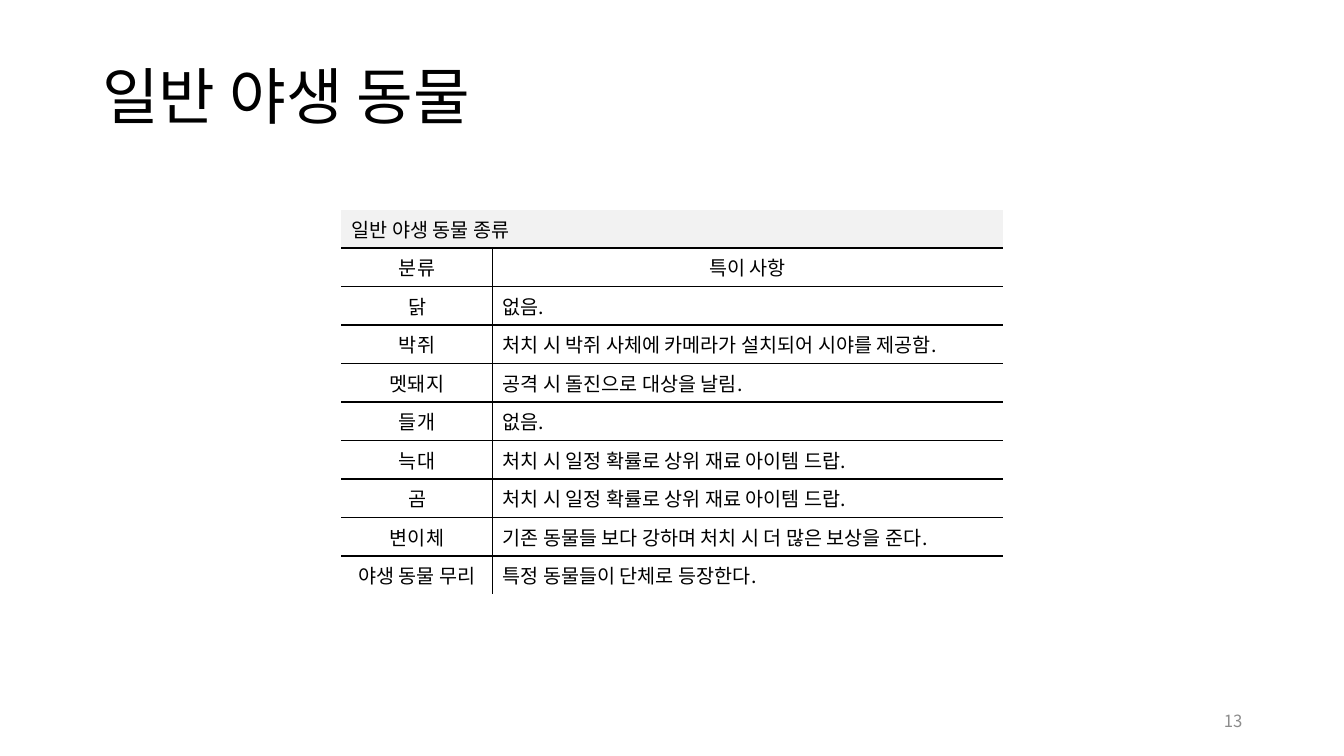
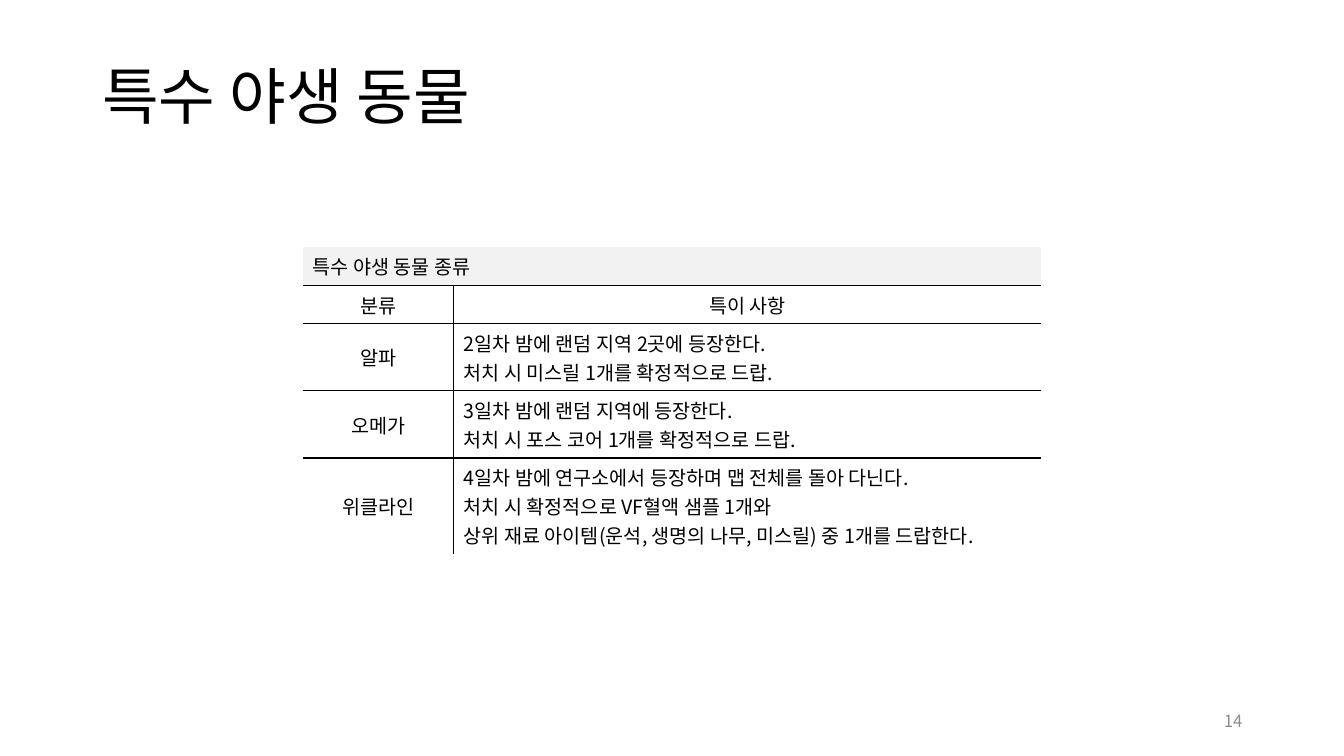
from dataclasses import dataclass

from lxml.etree import SubElement
from pptx import Presentation
from pptx.dml.color import RGBColor
from pptx.enum.text import MSO_ANCHOR as Anchor, PP_ALIGN as Align
from pptx.oxml.ns import qn
from pptx.slide import Slide
from pptx.table import _Cell as Cell
from pptx.text.text import TextFrame
from pptx.util import Cm, Pt

FONT = "Noto Sans CJK KR"
COLORS = {"text": "000000", "rule": "000000", "band": "F2F2F2", "number": "8C8C8C"}
SLIDE_WIDTH, SLIDE_HEIGHT = 33.87, 19.05
FIRST_NUMBER = 13
LABEL_WIDTH = 3.81
LINE_HEIGHT, CELL_PADDING = 0.72, 0.25
HEADINGS = ("분류", "특이 사항")


@dataclass
class Animal:
    name: str
    traits: str


@dataclass
class AnimalPage:
    title: str
    table_top: float
    traits_width: float
    animals: list[Animal]


PAGES = [
    AnimalPage("일반 야생 동물", 5.28, 12.85, [
        Animal("닭", "없음."),
        Animal("박쥐", "처치 시 박쥐 사체에 카메라가 설치되어 시야를 제공함."),
        Animal("멧돼지", "공격 시 돌진으로 대상을 날림."),
        Animal("들개", "없음."),
        Animal("늑대", "처치 시 일정 확률로 상위 재료 아이템 드랍."),
        Animal("곰", "처치 시 일정 확률로 상위 재료 아이템 드랍."),
        Animal("변이체", "기존 동물들 보다 강하며 처치 시 더 많은 보상을 준다."),
        Animal("야생 동물 무리", "특정 동물들이 단체로 등장한다."),
    ]),
    AnimalPage("특수 야생 동물", 6.22, 14.81, [
        Animal("알파", "2일차 밤에 랜덤 지역 2곳에 등장한다.\n"
                     "처치 시 미스릴 1개를 확정적으로 드랍."),
        Animal("오메가", "3일차 밤에 랜덤 지역에 등장한다.\n"
                      "처치 시 포스 코어 1개를 확정적으로 드랍."),
        Animal("위클라인", "4일차 밤에 연구소에서 등장하며 맵 전체를 돌아 다닌다.\n"
                       "처치 시 확정적으로 VF혈액 샘플 1개와\n"
                       "상위 재료 아이템(운석, 생명의 나무, 미스릴) 중 1개를 드랍한다."),
    ]),
]


def set_text(frame: TextFrame, text: str, size: float, color: str = "text",
             align: Align = Align.LEFT, spacing: float = 1.0) -> None:
    frame.text = text
    for paragraph in frame.paragraphs:
        paragraph.alignment = align
        paragraph.line_spacing = spacing
        for run in paragraph.runs:
            run.font.size = Pt(size)
            run.font.name = FONT
            run.font.color.rgb = RGBColor.from_string(COLORS[color])
            SubElement(run.font._element, qn("a:ea"), typeface=FONT)


def add_text(slide: Slide, left: float, top: float, width: float, height: float,
             text: str, size: float, color: str = "text",
             align: Align = Align.LEFT, spacing: float = 1.0) -> None:
    box = slide.shapes.add_textbox(Cm(left), Cm(top), Cm(width), Cm(height))
    box.text_frame.word_wrap = True
    box.text_frame.vertical_anchor = Anchor.MIDDLE
    set_text(box.text_frame, text, size, color, align, spacing)


def set_borders(cell: Cell, visible: str) -> None:
    """Rule the sides listed in visible (from L, R, T, B) and clear the others."""
    properties = cell._tc.get_or_add_tcPr()
    for index, side in enumerate("LRTB"):
        line = SubElement(properties, qn(f"a:ln{side}"), w=str(Pt(1)))
        if side in visible:
            fill = SubElement(line, qn("a:solidFill"))
            SubElement(fill, qn("a:srgbClr"), val=COLORS["rule"])
        else:
            SubElement(line, qn("a:noFill"))
        properties.insert(index, line)


def add_animal_table(slide: Slide, page: AnimalPage) -> None:
    rows = [(f"{page.title} 종류", ""), HEADINGS]
    rows += [(animal.name, animal.traits) for animal in page.animals]
    heights = [LINE_HEIGHT * (traits.count("\n") + 1) + CELL_PADDING for _, traits in rows]
    width = LABEL_WIDTH + page.traits_width
    table = slide.shapes.add_table(
        len(rows), 2, Cm((SLIDE_WIDTH - width) / 2), Cm(page.table_top),
        Cm(width), Cm(sum(heights))).table
    table.first_row = table.horz_banding = False
    table.columns[0].width = Cm(LABEL_WIDTH)
    table.columns[1].width = Cm(page.traits_width)
    table.cell(0, 0).merge(table.cell(0, 1))

    for row, texts in enumerate(rows):
        table.rows[row].height = Cm(heights[row])
        for column, text in enumerate(texts):
            cell = table.cell(row, column)
            cell.vertical_anchor = Anchor.MIDDLE
            centered = row == 1 or (row > 1 and column == 0)
            set_text(cell.text_frame, text, 14,
                     align=Align.CENTER if centered else Align.LEFT)
            if row == 0:
                cell.fill.solid()
                cell.fill.fore_color.rgb = RGBColor.from_string(COLORS["band"])
                sides = "B"
            else:
                cell.fill.background()
                sides = ("R" if column == 0 else "L") + "T"
                if row < len(rows) - 1:
                    sides += "B"
            set_borders(cell, sides)


def main() -> None:
    presentation = Presentation()
    presentation.slide_width = Cm(SLIDE_WIDTH)
    presentation.slide_height = Cm(SLIDE_HEIGHT)
    for number, page in enumerate(PAGES, FIRST_NUMBER):
        slide = presentation.slides.add_slide(presentation.slide_layouts[6])
        add_text(slide, 2.33, 1.01, 29.21, 2.98, page.title, 44, spacing=0.9)
        add_text(slide, 23.94, 17.65, 7.62, 1.02, str(number), 12, "number", Align.RIGHT)
        add_animal_table(slide, page)
    presentation.save("out.pptx")


if __name__ == "__main__":
    main()
